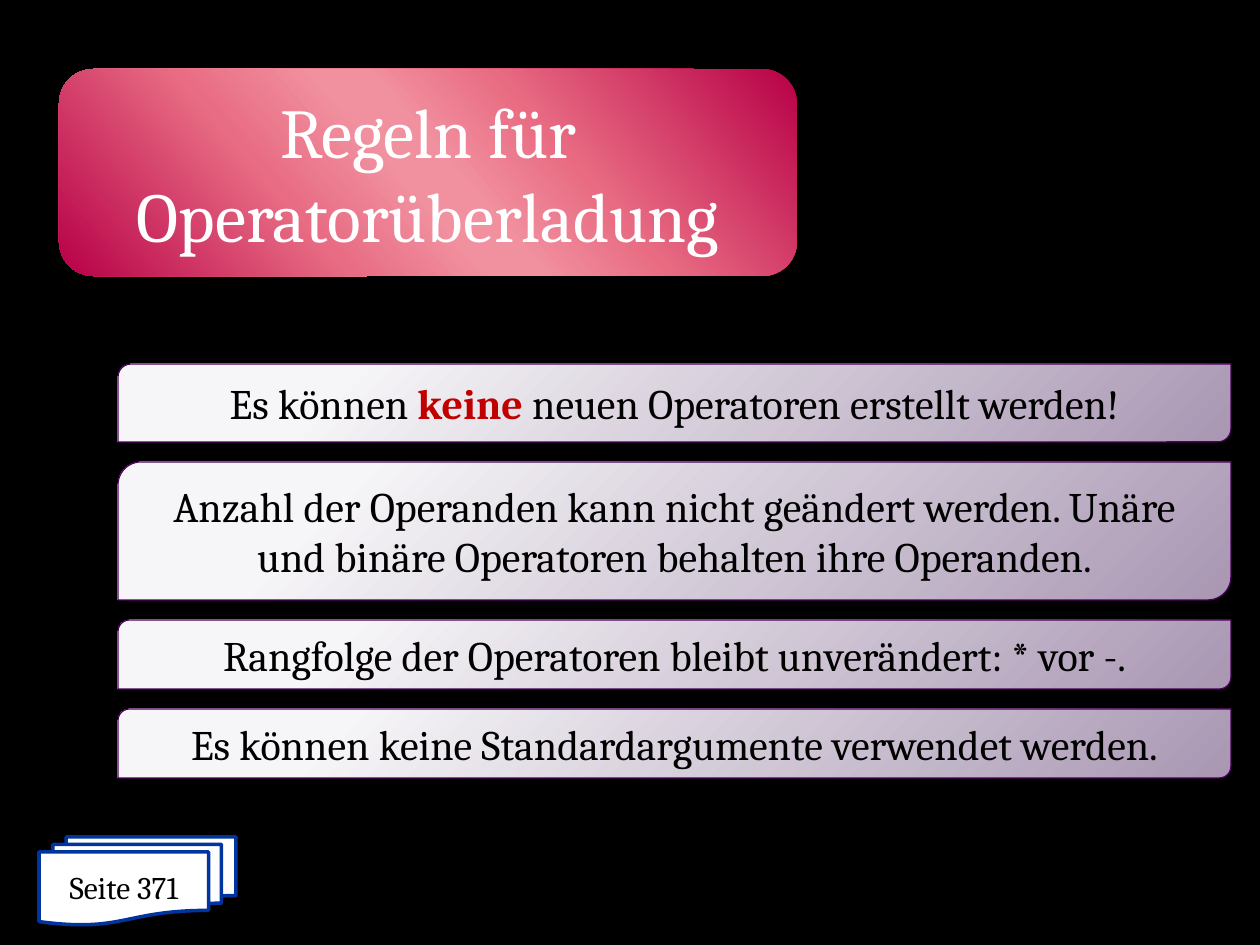
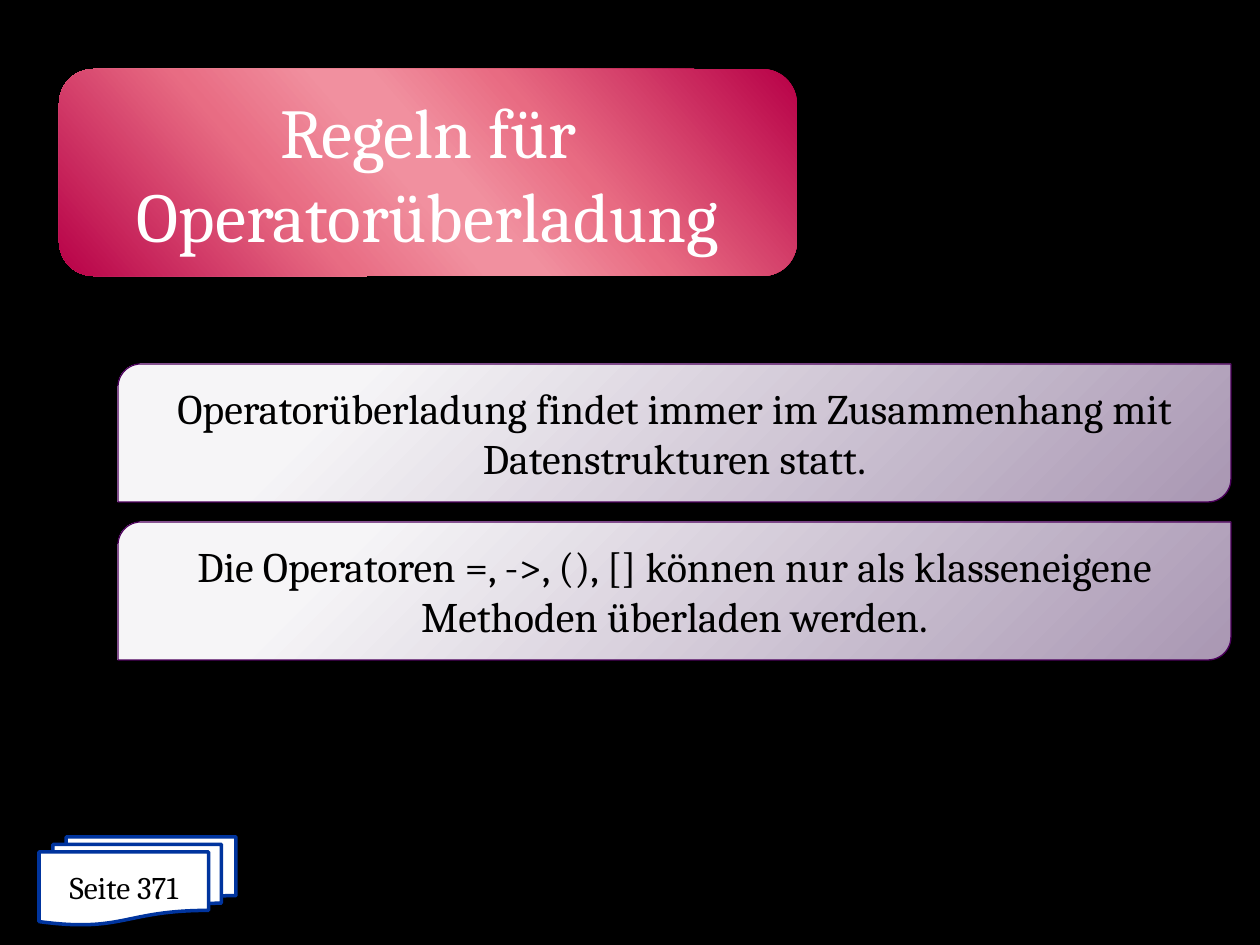
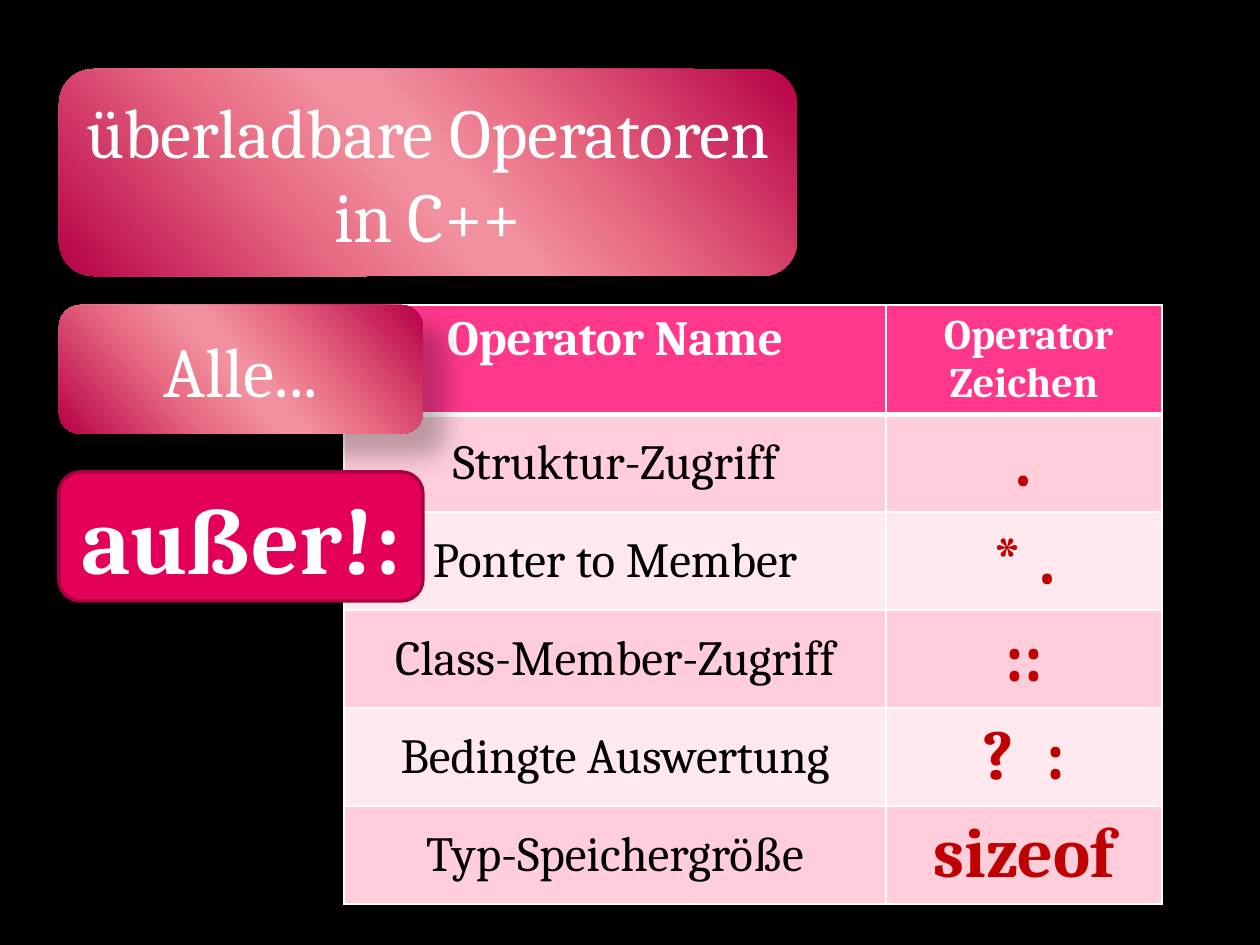
from dataclasses import dataclass

from pptx import Presentation
from pptx.dml.color import RGBColor
from pptx.enum.shapes import MSO_SHAPE
from pptx.enum.text import MSO_ANCHOR, PP_ALIGN
from pptx.oxml import parse_xml
from pptx.oxml.ns import nsdecls, qn
from pptx.util import Emu, Pt

SCALE = 914400 // 126  # EMU in one pixel


@dataclass(frozen=True)
class Theme:
    # Colours
    font: str = "Cambria"
    black: str = "000000"
    white: str = "FFFFFF"
    red: str = "C00000"
    pink: str = "E40059"
    edge: str = "A90042"
    plum: str = "4C005C"
    blue: str = "00349E"
    head: str = "FF388C"
    bands: tuple = ("FFCEDA", "FFE8EE")
    # Type sizes
    note: int = 18
    body: int = 24
    cell: int = 28
    title: int = 40
    shout: int = 54
    # Gradients: stops and direction
    gloss: tuple = ((0, "B70047"), (33, "E86B82"), (47, "F1909F"),
                    (53, "F1909F"), (68, "E86C83"), (100, "B70047"))
    gloss_dir: str = '<a:lin ang="8340000" scaled="0"/>'
    pale: tuple = ((20, "F6F5F7"), (100, "A997B3"))
    pale_dir: str = ('<a:path path="circle"><a:fillToRect l="-15000" '
                     't="-15000" r="115000" b="115000"/></a:path>')
    # Shadows: opacity in percent, blur and distance in points
    deep: tuple = (26, 15, 18)
    soft: tuple = (35, 10.2, 8)


def px(*vals):
    return [Emu(v * SCALE) for v in vals]


def rgb(code):
    return RGBColor.from_string(code)


def write(frame, text, size, color, font, bold=False, mark="", tint=None):
    """Fill a frame with one centred line of text; mark is set bold in tint."""
    frame.word_wrap = True
    para = frame.paragraphs[0]
    para.alignment = PP_ALIGN.CENTER
    parts = text.partition(mark) if mark else (text,)
    for part in parts:
        run = para.add_run()
        run.text = part
        hit = part == mark
        run.font.name = font
        run.font.size = Pt(size)
        run.font.bold = bold or hit
        run.font.color.rgb = rgb(tint if hit else color)


class Deck:
    def __init__(self, theme):
        self.theme = theme
        self.file = Presentation()
        self.file.slide_width, self.file.slide_height = px(1260, 945)
        self.slide = None

    def page(self, title):
        self.slide = self.file.slides.add_slide(self.file.slide_layouts[6])
        fill = self.slide.background.fill
        fill.solid()
        fill.fore_color.rgb = rgb(self.theme.black)
        self.gloss(title, 59, 69, 738, 207)

    # Shape basics
    def shape(self, kind, box, line=None, width=0, fill=None):
        item = self.slide.shapes.add_shape(kind, *px(*box))
        item.shadow.inherit = False
        item.text_frame.vertical_anchor = MSO_ANCHOR.MIDDLE
        if fill:
            item.fill.solid()
            item.fill.fore_color.rgb = rgb(fill)
        if line:
            item.line.color.rgb = rgb(line)
            item.line.width = Pt(width)
        else:
            item.line.fill.background()
        return item

    def blend(self, item, stops, course):
        marks = "".join(
            f'<a:gs pos="{pos * 1000}"><a:srgbClr val="{code}"/></a:gs>'
            for pos, code in stops)
        grad = parse_xml(f'<a:gradFill {nsdecls("a")} rotWithShape="1">'
                         f'<a:gsLst>{marks}</a:gsLst>{course}</a:gradFill>')
        item._element.spPr.find(qn("a:prstGeom")).addnext(grad)

    def shade(self, item, alpha, blur, dist):
        cast = parse_xml(
            f'<a:outerShdw {nsdecls("a")} blurRad="{Pt(blur)}" '
            f'dist="{Pt(dist)}" dir="2700000" algn="tl" rotWithShape="0">'
            f'<a:srgbClr val="{self.theme.black}">'
            f'<a:alpha val="{alpha * 1000}"/></a:srgbClr></a:outerShdw>')
        item._element.spPr.find(qn("a:effectLst")).append(cast)

    # Elements
    def gloss(self, text, *box):
        th = self.theme
        item = self.shape(MSO_SHAPE.ROUNDED_RECTANGLE, box)
        self.blend(item, th.gloss, th.gloss_dir)
        self.shade(item, *th.deep)
        write(item.text_frame, text, th.title, th.white, th.font)

    def shout(self, text, *box):
        th = self.theme
        item = self.shape(MSO_SHAPE.ROUNDED_RECTANGLE, box, th.edge, 2, th.pink)
        write(item.text_frame, text, th.shout, th.white, th.font, bold=True)

    def rules(self, rows, top=364, gap=20):
        th = self.theme
        for high, text, mark in rows:
            item = self.shape(MSO_SHAPE.ROUND_2_DIAG_RECTANGLE,
                              (118, top, 1113, high), th.plum, 0.75)
            self.blend(item, th.pale, th.pale_dir)
            self.shade(item, *th.soft)
            write(item.text_frame, text, th.body, th.black, th.font,
                  mark=mark, tint=th.red)
            top += high + gap

    def folio(self, text):
        th = self.theme
        item = self.shape(MSO_SHAPE.FLOWCHART_MULTIDOCUMENT,
                          (39, 837, 197, 88), th.blue, 2, th.white)
        write(item.text_frame, text, th.note, th.black, th.font)

    def cell(self, cell, text, size, color, fill, bold, base=1):
        props = cell._tc.get_or_add_tcPr()
        for side, width in zip("LRTB", (1, 1, 1, base)):
            props.append(parse_xml(
                f'<a:ln{side} {nsdecls("a")} w="{Pt(width)}"><a:solidFill>'
                f'<a:srgbClr val="{self.theme.white}"/></a:solidFill>'
                f'</a:ln{side}>'))
        cell.fill.solid()
        cell.fill.fore_color.rgb = rgb(fill)
        write(cell.text_frame, text, size, color, self.theme.font, bold)

    def table(self, heads, rows, left, top, cols, high, step):
        th = self.theme
        box = px(left, top, sum(cols), high + step * len(rows))
        grid = self.slide.shapes.add_table(len(rows) + 1, len(cols), *box).table
        grid.horz_banding = False
        for col, wide in zip(grid.columns, px(*cols)):
            col.width = wide
        for row, tall in zip(grid.rows, px(high, *[step] * len(rows))):
            row.height = tall
        for c, (text, size) in enumerate(zip(heads, (th.cell, th.body))):
            self.cell(grid.cell(0, c), text, size, th.white, th.head, True, 3)
        looks = ((th.cell, th.black, False), (th.title, th.red, True))
        for r, row in enumerate(rows):
            for c, (text, look) in enumerate(zip(row, looks)):
                size, color, bold = look
                cell = grid.cell(r + 1, c)
                cell.vertical_anchor = MSO_ANCHOR.MIDDLE
                self.cell(cell, text, size, color, th.bands[r % 2], bold)


deck = Deck(Theme())

# Rules, with the page number of the book
RULES = (
    ((78, "Es können keine neuen Operatoren erstellt werden!", "keine "),
     (138, "Anzahl der Operanden kann nicht geändert werden. Unäre und "
           "binäre Operatoren behalten ihre Operanden.", ""),
     (69, "Rangfolge der Operatoren bleibt unverändert: * vor -.", ""),
     (69, "Es können keine Standardargumente verwendet werden.", "")),
    ((138, "Operatorüberladung findet immer im Zusammenhang mit "
           "Datenstrukturen statt.", ""),
     (138, "Die Operatoren =, ->, (), [] können nur als klasseneigene "
           "Methoden überladen werden.", "")),
)
for rows in RULES:
    deck.page("Regeln für Operatorüberladung")
    deck.rules(rows)
    deck.folio("Seite 371")

# Operators that cannot be overloaded
deck.page("überladbare Operatoren in C++")
deck.table(("Operator Name", " Operator Zeichen"),
           (("Struktur-Zugriff", "."),
            ("Ponter to Member", "* ."),
            ("Class-Member-Zugriff", "::"),
            ("Bedingte Auswertung", "?  :"),
            ("Typ-Speichergröße", "sizeof")),
           left=344, top=305, cols=(542, 276), high=109, step=98)
deck.gloss("Alle...", 59, 305, 364, 129)
deck.shout("außer!:", 59, 472, 364, 129)

deck.file.save("out.pptx")
